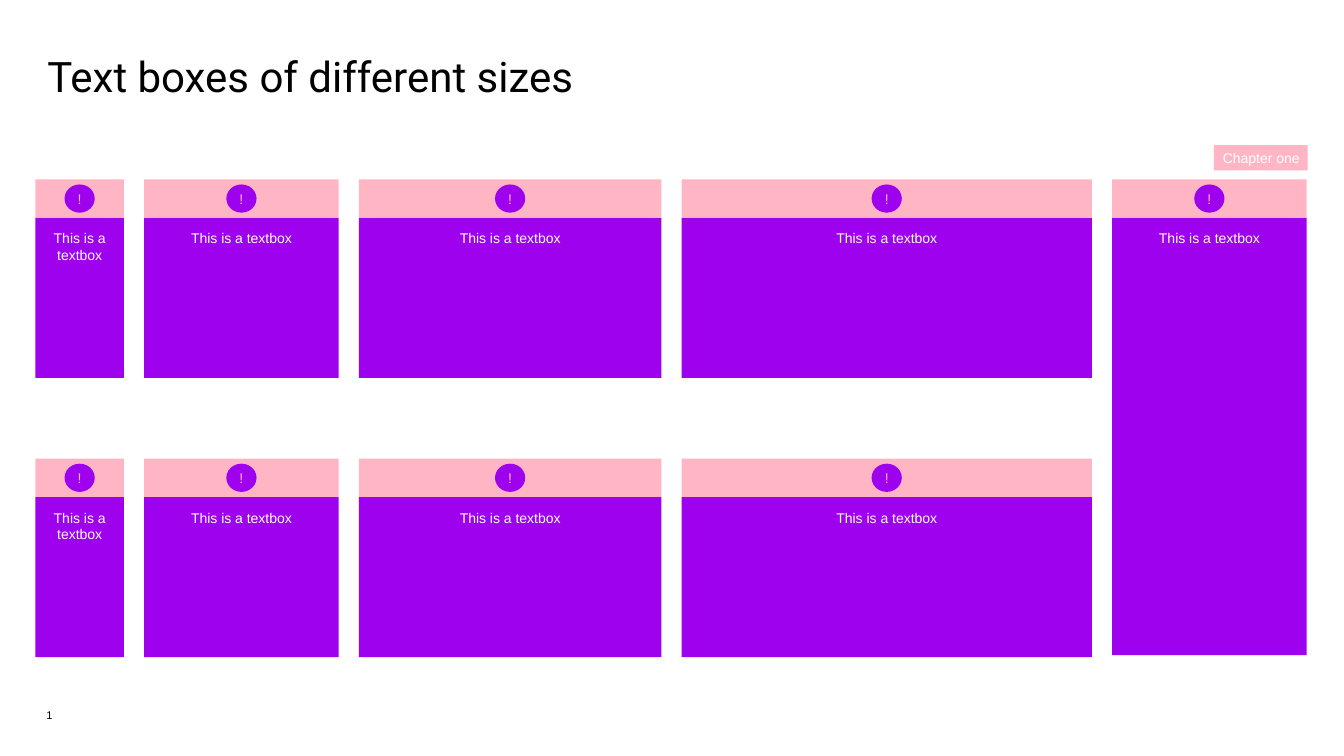
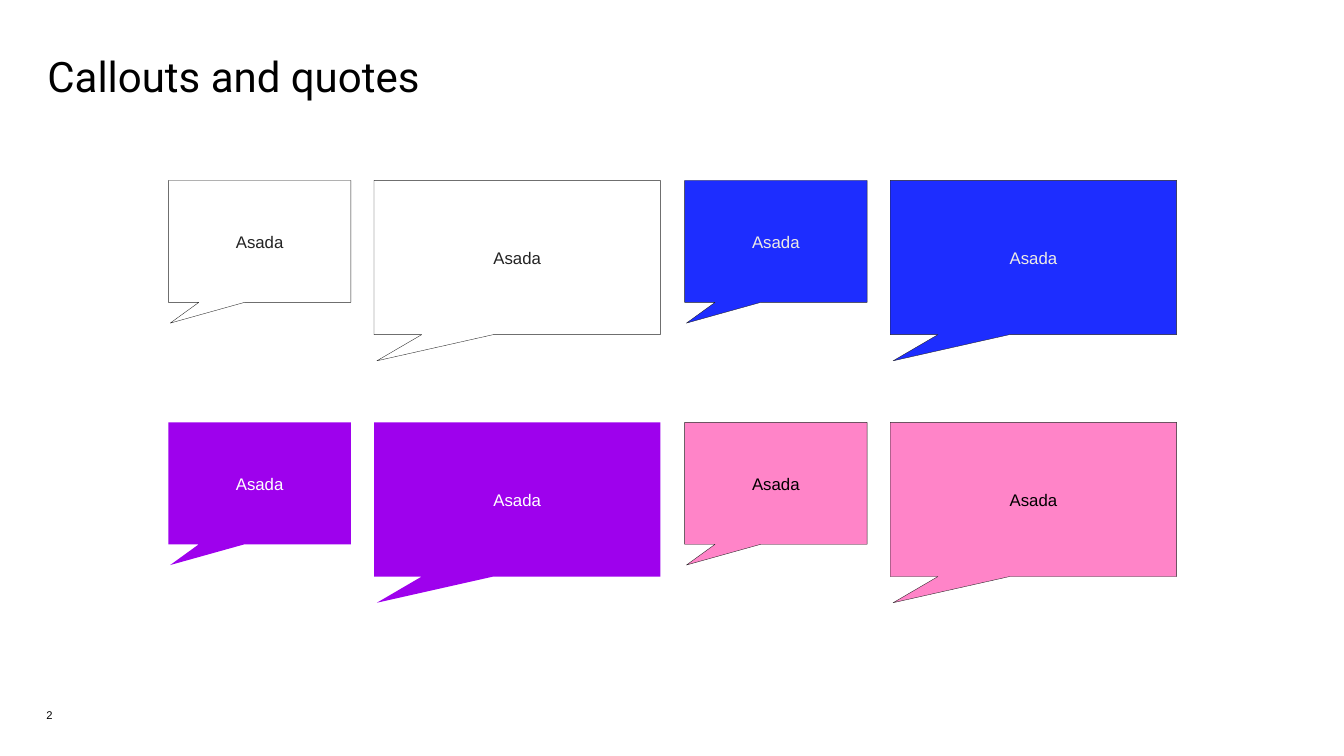
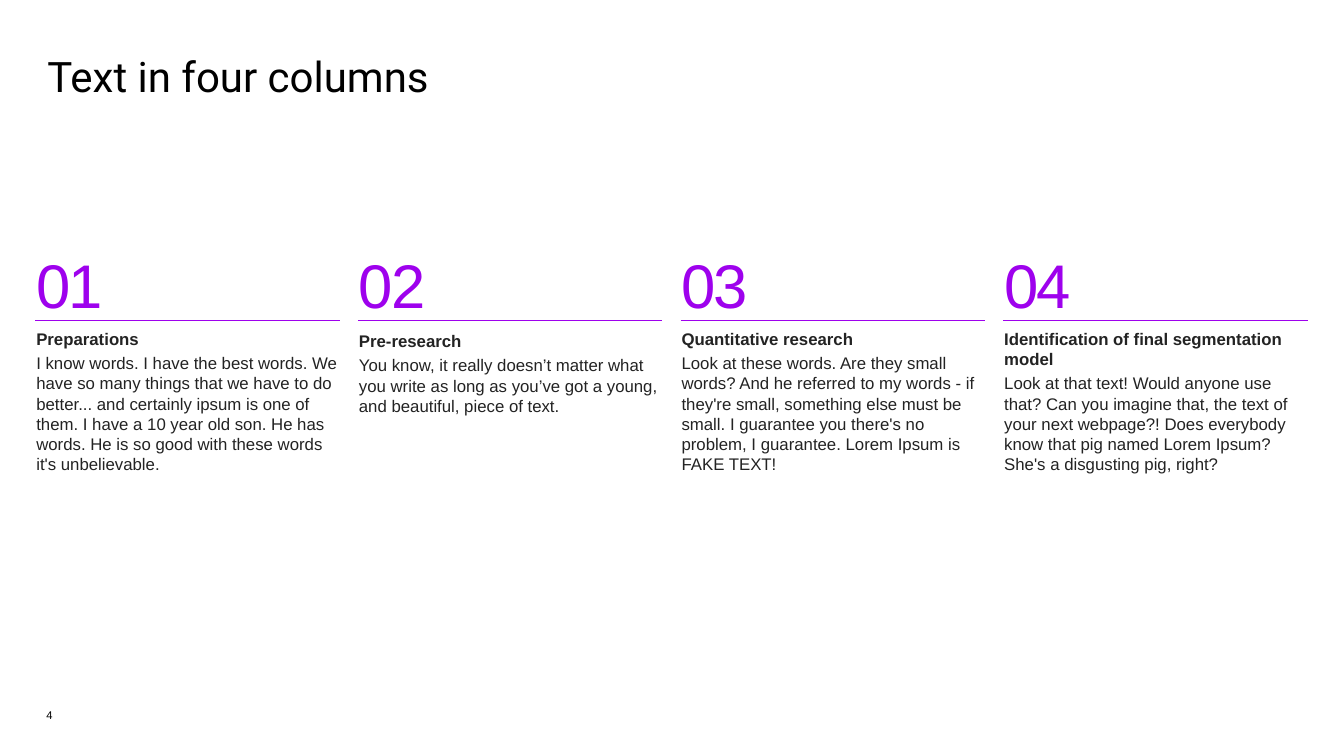
from itertools import accumulate
from lxml.etree import SubElement
from pptx import Presentation
from pptx.dml.color import RGBColor
from pptx.enum.shapes import MSO_CONNECTOR, MSO_SHAPE as Shape
from pptx.enum.text import MSO_ANCHOR as Anchor, MSO_AUTO_SIZE as Fit, PP_ALIGN as Align
from pptx.oxml.ns import qn
from pptx.util import Inches, Pt

WIDE, HIGH = 13.33, 7.5
PURPLE, ROSE, PINK, BLUE = "9E01ED", "FFB5C4", "FF84C8", "1D2DFF"
INK, BLACK, WHITE, CREAM = "232323", "000000", "FFFFFF", "EDEBE5"
PAD = (0.04, 0.04, 0.04, 0.04)
TITLE = (0.47, 0.56, 12.4, 0.48)
NUMBER = (0.46, 7.03, 0.71, 0.2)


def tint(fmt, color):
    fmt.rgb = RGBColor.from_string(color)


def apply(target, values):
    for name, value in values.items():
        setattr(target, name, value)


def place(box):
    return [Inches(length) for length in box]


def style(frame, pad=(0, 0, 0, 0), anchor=Anchor.TOP, wrap=True):
    left, top, right, bottom = place(pad)
    apply(frame, dict(margin_left=left, margin_top=top, margin_right=right,
                      margin_bottom=bottom, vertical_anchor=anchor,
                      word_wrap=wrap, auto_size=Fit.NONE))


def write(para, text, size, color, font="Arial", bold=False, track=0, **form):
    """Fill one paragraph; form holds its paragraph settings."""
    run = para.add_run()
    run.text = text
    apply(run.font, dict(name=font, size=Pt(size), bold=bold))
    tint(run.font.color, color)
    if track:
        run.font._element.set("spc", str(track))
    apply(para, form)


def label(slide, box, text, size, color, **form):
    frame = slide.shapes.add_textbox(*place(box)).text_frame
    style(frame)
    write(frame.paragraphs[0], text, size, color, **form)
    return frame


def draw(shapes, kind, box, fill=None, line=None):
    shape = shapes.add_shape(kind, *place(box))
    shape.shadow.inherit = False
    if fill:
        shape.fill.solid()
        tint(shape.fill.fore_color, fill)
    else:
        shape.fill.background()
    if line:
        tint(shape.line.color, line)
        shape.line.width = Pt(0.25)
    else:
        shape.line.fill.background()
    return shape


def caption(shape, text, size, color, pad=PAD, anchor=Anchor.MIDDLE,
            align=Align.CENTER, wrap=True):
    style(shape.text_frame, pad, anchor, wrap)
    write(shape.text_frame.paragraphs[0], text, size, color, alignment=align)


def rule(slide, left, top, width):
    line = slide.shapes.add_connector(
        MSO_CONNECTOR.STRAIGHT, *place((left, top, left + width, top)))
    tint(line.line.color, PURPLE)
    line.line.width = Pt(0.5)
    SubElement(line._element.spPr, qn("a:effectLst"))


def page(deck, title, number):
    """Add a slide with the shared title and page number."""
    slide = deck.slides.add_slide(deck.slide_layouts[5])
    head = slide.shapes.title
    apply(head, dict(zip(("left", "top", "width", "height"), place(TITLE))))
    style(head.text_frame)
    write(head.text_frame.paragraphs[0], title, 30, BLACK, "Roboto",
          alignment=Align.LEFT, line_spacing=0.9)
    label(slide, NUMBER, number, 8, BLACK)
    return slide


def card(slide, left, top, width, height):
    """Purple text box under a pink band with a round badge."""
    band, dot_w, dot_h = 0.38, 0.3, 0.28
    body = draw(slide.shapes, Shape.RECTANGLE,
                (left, top + band, width, height - band), PURPLE)
    caption(body, "This is a textbox", 10, WHITE,
            (0.04, 0.12, 0.04, 0.04), Anchor.TOP)
    head = slide.shapes.add_group_shape().shapes
    draw(head, Shape.RECTANGLE, (left, top, width, band), ROSE)
    dot = draw(head, Shape.OVAL, (left + (width - dot_w) / 2,
                                  top + (band - dot_h) / 2, dot_w, dot_h), PURPLE)
    caption(dot, "!", 10, ROSE)


def boxes(deck):
    slide = page(deck, "Text boxes of different sizes", "1")
    widths, gap, top, pitch, height = (0.88, 1.93, 3, 4.07, 1.93), 0.2, 1.78, 2.77, 1.97
    lefts = list(accumulate((w + gap for w in widths[:-1]), initial=0.35))
    for row in range(2):
        for left, width in zip(lefts[:-1], widths):
            card(slide, left, top + row * pitch, width, height)
    card(slide, lefts[-1], top, widths[-1], pitch + height - 0.02)
    tag = draw(slide.shapes, Shape.RECTANGLE, (12.04, 1.44, 0.93, 0.25), ROSE)
    caption(tag, "Chapter one", 10, WHITE, (0.08, 0.04, 0.08, 0.04),
            align=Align.RIGHT, wrap=False)


def quotes(deck):
    slide = page(deck, "Callouts and quotes", "2")
    looks = ((None, INK, INK), (BLUE, INK, CREAM),
             (PURPLE, None, WHITE), (PINK, INK, BLACK))
    sizes = ((0, 1.81, 1.21), (2.04, 2.84, 1.53))
    for i, (fill, line, color) in enumerate(looks):
        row, col = divmod(i, 2)
        left, top = 1.67 + col * 5.12, 1.79 + row * 2.4
        for shift, width, height in sizes:
            bubble = draw(slide.shapes, Shape.RECTANGULAR_CALLOUT,
                          (left + shift, top, width, height), fill, line)
            bubble.adjustments[0], bubble.adjustments[1] = -0.49, 0.67
            caption(bubble, "Asada", 12, color)


def column(slide, left, top, number, head, text, **form):
    width = 3.02
    label(slide, (left, top, 0.79, 0.74), number, 44, PURPLE, track=-150)
    rule(slide, left - 0.01, top + 0.73, width)
    frame = label(slide, (left, top + 0.81, width, 1.66), head, 12, INK,
                  bold=True, **form)
    write(frame.add_paragraph(), text, 12, INK, space_before=Pt(3))


def columns(deck):
    slide = page(deck, "Text in four columns", "4")
    parts = (
        ("Preparations",
         "I know words. I have the best words. We have so many things that we "
         "have to do better... and certainly ipsum is one of them. I have a 10 "
         "year old son. He has words. He is so good with these words it's "
         "unbelievable.", {}),
        ("Pre-research",
         "You know, it really doesn’t matter what you write as long as you’ve "
         "got a young, and beautiful, piece of text.",
         {"line_spacing": Pt(16)}),
        ("Quantitative research",
         "Look at these words. Are they small words? And he referred to my "
         "words - if they're small, something else must be small. I guarantee "
         "you there's no problem, I guarantee. Lorem Ipsum is FAKE TEXT!", {}),
        ("Identification of final segmentation model",
         "Look at that text! Would anyone use that? Can you imagine that, the "
         "text of your next webpage?! Does everybody know that pig named Lorem "
         "Ipsum? She's a disgusting pig, right?", {}),
    )
    for i, (head, text, form) in enumerate(parts):
        column(slide, 0.36 + i * 3.2, 2.45, f"{i + 1:02}", head, text, **form)


def main():
    deck = Presentation()
    deck.slide_width, deck.slide_height = place((WIDE, HIGH))
    for build in (boxes, quotes, columns):
        build(deck)
    deck.save("out.pptx")


if __name__ == "__main__":
    main()
